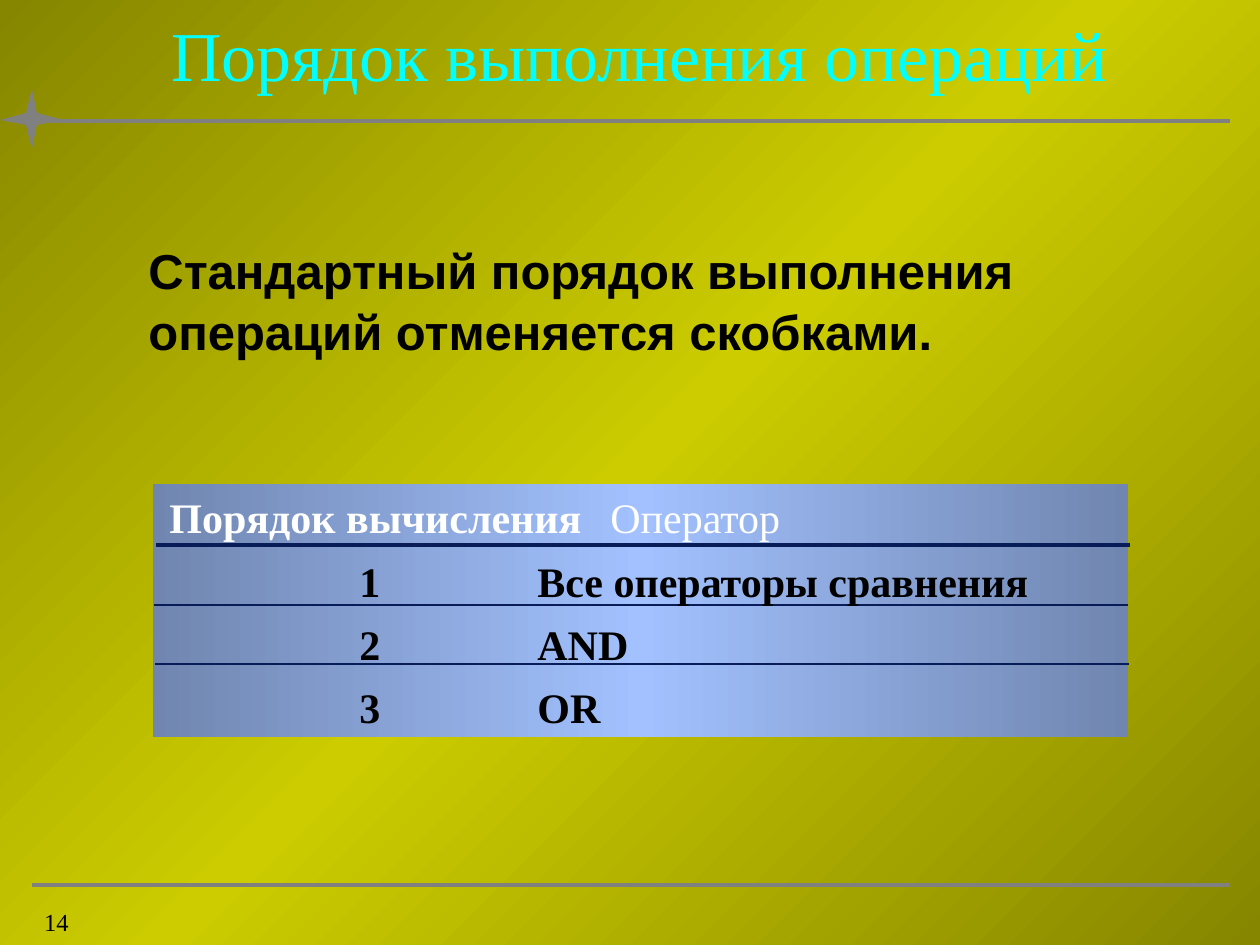
from copy import deepcopy
from typing import NamedTuple

from lxml.etree import SubElement
from pptx import Presentation
from pptx.dml.color import RGBColor
from pptx.dml.fill import FillFormat
from pptx.enum.shapes import MSO_CONNECTOR, MSO_SHAPE
from pptx.enum.text import MSO_ANCHOR, PP_ALIGN
from pptx.oxml.ns import qn
from pptx.oxml.xmlchemy import BaseOxmlElement
from pptx.slide import Slide
from pptx.text.text import _Paragraph
from pptx.util import Emu, Pt

EMU_PER_PX = 914400 / 126

OLIVE = RGBColor(0x86, 0x86, 0x00)
YELLOW = RGBColor(0xCC, 0xCC, 0x00)
STEEL = RGBColor(0x70, 0x86, 0xB0)
SKY = RGBColor(0xA2, 0xC1, 0xFE)
GRAY = RGBColor(0x80, 0x80, 0x80)
NAVY = RGBColor(0x08, 0x1D, 0x58)
CYAN = RGBColor(0x00, 0xFF, 0xFF)
WHITE = RGBColor(0xFF, 0xFF, 0xFF)
BLACK = RGBColor(0x00, 0x00, 0x00)

SERIF = "Times New Roman"
SANS = "Arial"


class Box(NamedTuple):
    left: int
    top: int
    width: int
    height: int


class Rule(NamedTuple):
    left: int
    right: int
    y: int
    color: RGBColor
    points: float


class Piece(NamedTuple):
    text: str
    font: dict


class Line(NamedTuple):
    pieces: list[Piece]
    format: dict = {}
    tabs: tuple[int, ...] = ()


class TextBlock(NamedTuple):
    box: Box
    lines: list[Line]
    anchor: MSO_ANCHOR = MSO_ANCHOR.TOP


RULES = [
    Rule(32, 1230, 885, GRAY, 2.25),
    Rule(30, 1230, 121, GRAY, 2.25),
    Rule(156, 1130, 545, NAVY, 2),
    Rule(154, 1128, 605, NAVY, 1),
    Rule(155, 1129, 664, NAVY, 1),
]
STAR = [(0, 120), (26, 113), (32, 89), (37, 113), (63, 120), (37, 125), (32, 149), (26, 125)]
PANEL = Box(153, 484, 975, 253)

TABLE_FONT = {"name": SERIF, "size": Pt(24), "bold": True}
TABLE_FORMAT = {"space_before": Pt(6), "line_spacing": 1.05}
HEADER_TABS = (441,)
ROW_TABS = (190, 368)
OPERATORS = ["Все операторы сравнения", "AND", "OR"]

HEADER = Line(
    [
        Piece("Порядок вычисления\t", TABLE_FONT | {"color": WHITE}),
        Piece("Оператор", TABLE_FONT | {"color": WHITE, "bold": False}),
    ],
    TABLE_FORMAT,
    HEADER_TABS,
)
ROWS = [
    Line([Piece(f"\t{order}\t{operator}", TABLE_FONT | {"color": BLACK})], TABLE_FORMAT, ROW_TABS)
    for order, operator in enumerate(OPERATORS, start=1)
]

TITLE = Piece("Порядок выполнения операций", {"name": SERIF, "size": Pt(40), "color": CYAN})
STATEMENT = Piece(
    "Стандартный порядок выполнения операций отменяется скобками.",
    {"name": SANS, "size": Pt(28), "bold": True, "color": BLACK},
)
PAGE_NUMBER = Piece("14", {"name": SERIF, "size": Pt(14), "color": BLACK})

TEXT_BLOCKS = [
    TextBlock(
        Box(136, 0, 1006, 121),
        [Line([TITLE], {"alignment": PP_ALIGN.CENTER, "line_spacing": 0.85})],
        MSO_ANCHOR.MIDDLE,
    ),
    TextBlock(Box(157, 483, 966, 296), [HEADER, *ROWS]),
    TextBlock(
        Box(136, 231, 1029, 131),
        [Line([STATEMENT], {"space_before": Pt(10.5), "line_spacing": 1.05})],
    ),
    TextBlock(Box(0, 901, 81, 44), [Line([PAGE_NUMBER], {"alignment": PP_ALIGN.RIGHT})]),
]


def px(length: int) -> Emu:
    return Emu(round(length * EMU_PER_PX))


def fill_mirrored(fill: FillFormat, owner: BaseOxmlElement, edge: RGBColor, middle: RGBColor, angle: int) -> None:
    """Fill with a gradient running from edge to middle and back to edge."""
    fill.gradient()
    fill.gradient_angle = angle
    stop_list = owner.xpath(".//a:gsLst")[0]
    stop_list.append(deepcopy(stop_list[-1]))
    for stop, position, color in zip(fill.gradient_stops, (0, 0.5, 1), (edge, middle, edge)):
        stop.position = position
        stop.color.rgb = color


def add_rule(slide: Slide, rule: Rule) -> None:
    connector = slide.shapes.add_connector(
        MSO_CONNECTOR.STRAIGHT, px(rule.left), px(rule.y), px(rule.right), px(rule.y)
    )
    connector.line.color.rgb = rule.color
    connector.line.width = Pt(rule.points)
    SubElement(connector.element.spPr, qn("a:effectLst"))


def add_star(slide: Slide) -> None:
    builder = slide.shapes.build_freeform(*STAR[0], scale=EMU_PER_PX)
    builder.add_line_segments(STAR[1:], close=True)
    star = builder.convert_to_shape()
    star.shadow.inherit = False
    star.fill.solid()
    star.fill.fore_color.rgb = GRAY
    star.line.fill.background()


def add_panel(slide: Slide) -> None:
    panel = slide.shapes.add_shape(MSO_SHAPE.RECTANGLE, *map(px, PANEL))
    panel.shadow.inherit = False
    panel.line.fill.background()
    fill_mirrored(panel.fill, panel.element, STEEL, SKY, 0)


def set_tabs(paragraph: _Paragraph, positions: tuple[int, ...]) -> None:
    tab_list = SubElement(paragraph._p.get_or_add_pPr(), qn("a:tabLst"))
    for position in positions:
        SubElement(tab_list, qn("a:tab"), pos=str(px(position)), algn="l")


def add_text(slide: Slide, block: TextBlock) -> None:
    frame = slide.shapes.add_textbox(*map(px, block.box)).text_frame
    frame.word_wrap = True
    frame.vertical_anchor = block.anchor
    for index, line in enumerate(block.lines):
        paragraph = frame.add_paragraph() if index else frame.paragraphs[0]
        for name, value in line.format.items():
            setattr(paragraph, name, value)
        if line.tabs:
            set_tabs(paragraph, line.tabs)
        for piece in line.pieces:
            run = paragraph.add_run()
            run.text = piece.text
            for name, value in piece.font.items():
                if name == "color":
                    run.font.color.rgb = value
                else:
                    setattr(run.font, name, value)


def main() -> None:
    presentation = Presentation()
    presentation.slide_width, presentation.slide_height = px(1260), px(945)
    slide = presentation.slides.add_slide(presentation.slide_layouts[6])
    fill_mirrored(slide.background.fill, slide.element, OLIVE, YELLOW, 135)
    add_star(slide)
    add_panel(slide)
    for rule in RULES:
        add_rule(slide, rule)
    for block in TEXT_BLOCKS:
        add_text(slide, block)
    presentation.save("out.pptx")


if __name__ == "__main__":
    main()
